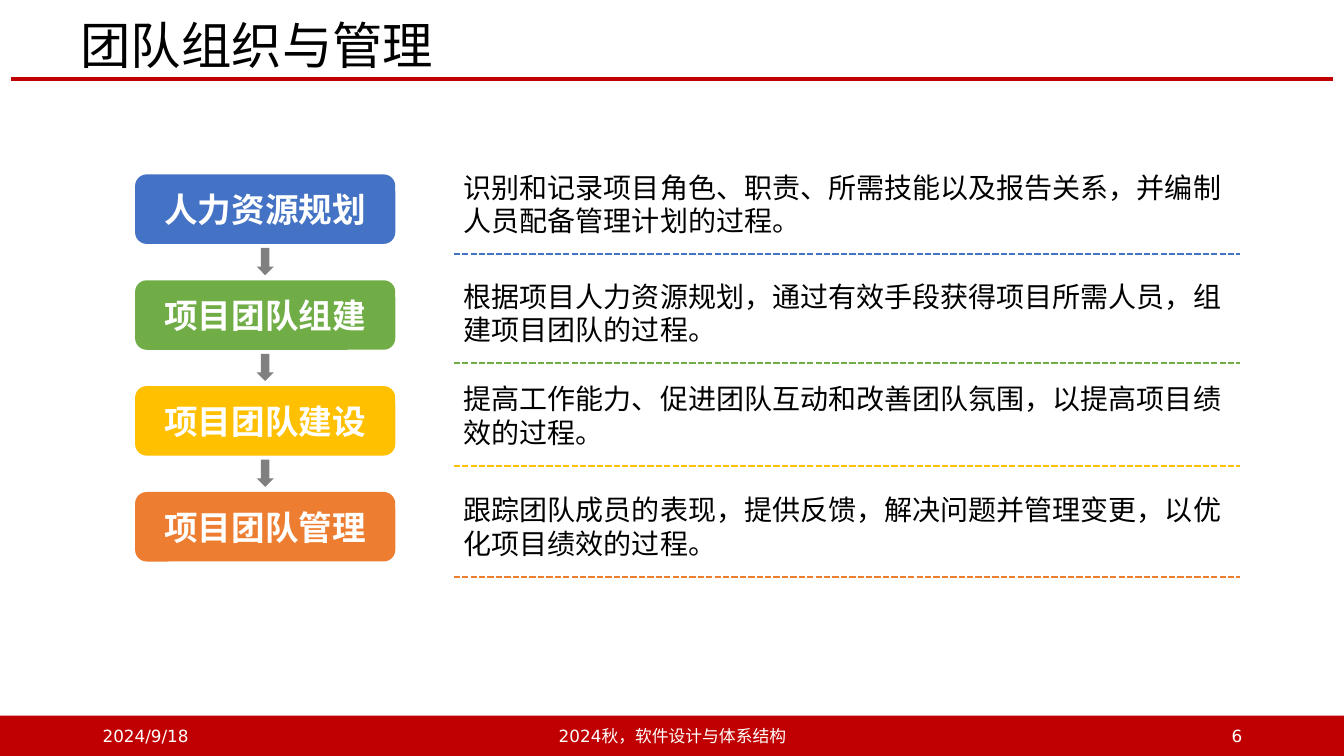
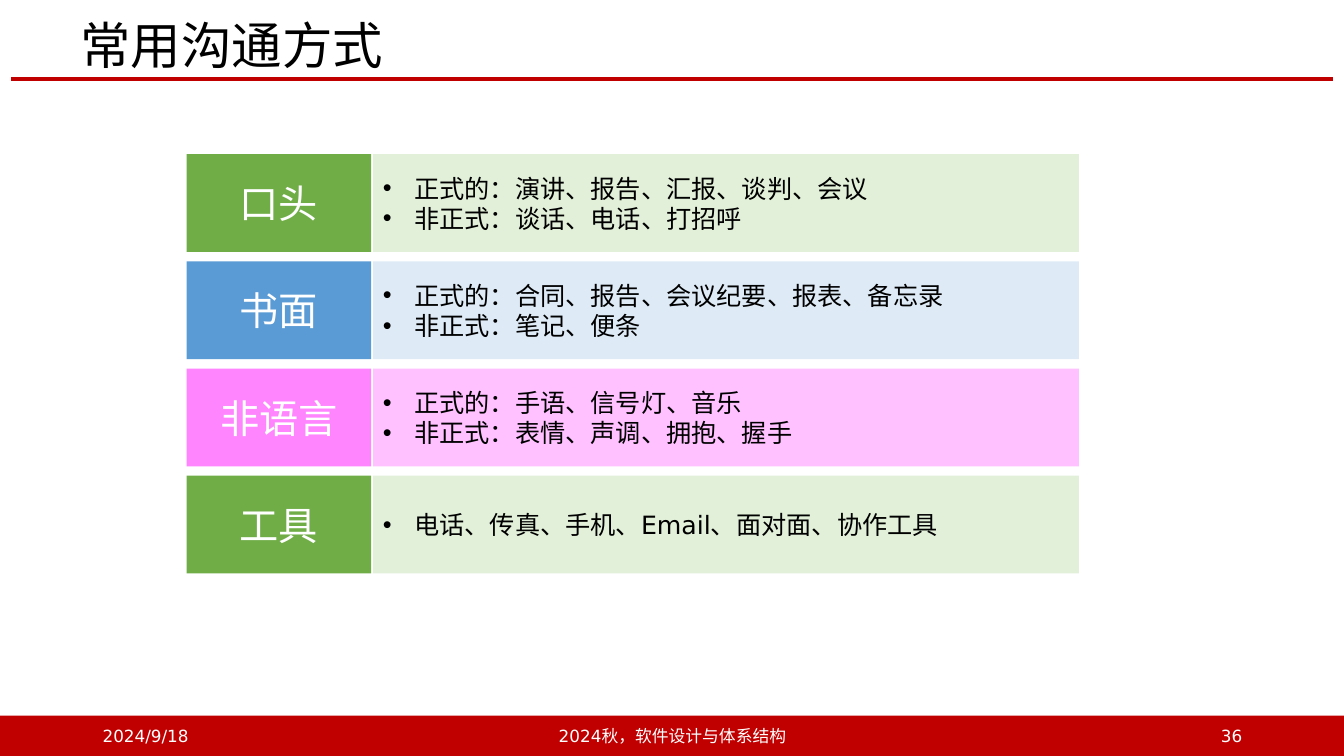
import dataclasses

import lxml.etree
import pptx
import pptx.dml.color
import pptx.enum.dml
import pptx.enum.shapes
import pptx.enum.text
import pptx.oxml.ns
import pptx.util

qn = pptx.oxml.ns.qn
SHAPE = pptx.enum.shapes.MSO_SHAPE
ALIGN = pptx.enum.text.PP_ALIGN
ANCHOR = pptx.enum.text.MSO_ANCHOR


@dataclasses.dataclass(frozen=True)
class Theme:
    red: str = "C00000"
    blue: str = "4472C4"
    green: str = "70AD47"
    gold: str = "FFC000"
    orange: str = "ED7D31"
    sky: str = "5B9BD5"
    pink: str = "FF85FF"
    pale_green: str = "E2F0D9"
    pale_sky: str = "DEEBF7"
    grey: str = "808080"
    black: str = "000000"
    white: str = "FFFFFF"
    title_font: str = "Noto Sans CJK SC"
    font: str = "DejaVu Sans"
    detail_font: str = "Arial"
    title: int = 36
    label: int = 28
    step: int = 24
    detail: int = 20
    bullet: int = 18
    footer: int = 12


T = Theme()


@dataclasses.dataclass(frozen=True)
class Box:
    x: float
    y: float
    w: float
    h: float

    def share(self, x, y, w, h):
        return Box(self.x + self.w * x / 100, self.y + self.h * y / 100,
                   self.w * w / 100, self.h * h / 100)

    def emu(self):
        return [pptx.util.Inches(v) for v in (self.x, self.y, self.w, self.h)]


SLIDE = Box(0, 0, 13.33, 7.5)
HEADER = SLIDE.share(0, 0, 100, 12)
FOOTER = SLIDE.share(0, 94.67, 100, 5.33)
PROCESS = SLIDE.share(10.05, 21.87, 83.05, 54.4)
CHANNELS = SLIDE.share(13.88, 20.4, 66.39, 55.47)

DATE = "2024/9/18"
COURSE = "2024秋，软件设计与体系结构"

STEPS = [
    ("人力资源规划", T.blue, 0,
     "识别和记录项目角色、职责、所需技能以及报告关系，并编制人员配备管理计划的过程。"),
    ("项目团队组建", T.green, 26.47,
     "根据项目人力资源规划，通过有效手段获得项目所需人员，组建项目团队的过程。"),
    ("项目团队建设", T.gold, 51.47,
     "提高工作能力、促进团队互动和改善团队氛围，以提高项目绩效的过程。"),
    ("项目团队管理", T.orange, 78.43,
     "跟踪团队成员的表现，提供反馈，解决问题并管理变更，以优化项目绩效的过程。"),
]

ROWS = [
    ("口头", T.green, T.pale_green, 100,
     ["正式的：演讲、报告、汇报、谈判、会议", "非正式：谈话、电话、打招呼"]),
    ("书面", T.sky, T.pale_sky, 100,
     ["正式的：合同、报告、会议纪要、报表、备忘录", "非正式：笔记、便条"]),
    ("非语言", T.pink, T.pink, 50,
     ["正式的：手语、信号灯、音乐", "非正式：表情、声调、拥抱、握手"]),
    ("工具", T.green, T.pale_green, 100,
     ["电话、传真、手机、Email、面对面、协作工具"]),
]


def rgb(color):
    return pptx.dml.color.RGBColor.from_string(color)


def add_bullet(p):
    pPr = p._p.get_or_add_pPr()
    indent = pptx.util.Inches(0.31)
    pPr.set("marL", str(indent))
    pPr.set("indent", str(-indent))
    lxml.etree.SubElement(pPr, qn("a:buFont")).set("typeface", "Arial")
    lxml.etree.SubElement(pPr, qn("a:buChar")).set("char", "•")


def write(sp, lines, size, color, align=ALIGN.LEFT, font=T.font, bold=False,
          anchor=ANCHOR.MIDDLE, bullets=False):
    tf = sp.text_frame
    tf.text = "\n".join(lines)
    tf.word_wrap = True
    tf.vertical_anchor = anchor
    for p in tf.paragraphs:
        p.alignment = align
        if bullets:
            add_bullet(p)
        for r in p.runs:
            r.font.size = pptx.util.Pt(size)
            r.font.bold = bold
            r.font.name = font
            r.font.color.rgb = rgb(color)
            ea = lxml.etree.SubElement(r._r.get_or_add_rPr(), qn("a:ea"))
            ea.set("typeface", font)
    return tf


def add_text(s, box, text, size, color, **style):
    return write(s.shapes.add_textbox(*box.emu()), [text], size, color, **style)


def add_block(s, kind, box, color, opacity=100):
    sp = s.shapes.add_shape(kind, *box.emu())
    sp.shadow.inherit = False
    sp.fill.solid()
    sp.fill.fore_color.rgb = rgb(color)
    sp.line.fill.background()
    if opacity < 100:
        clr = sp._element.spPr.find(qn("a:solidFill")).find(qn("a:srgbClr"))
        lxml.etree.SubElement(clr, qn("a:alpha")).set("val", str(opacity * 1000))
    return sp


def add_rule(s, box, color, width, dash=None):
    x, y, w, h = box.emu()
    line = s.shapes.add_connector(
        pptx.enum.shapes.MSO_CONNECTOR.STRAIGHT, x, y, x + w, y + h)
    line.line.color.rgb = rgb(color)
    line.line.width = pptx.util.Pt(width)
    if dash:
        line.line.dash_style = dash
    lxml.etree.SubElement(line._element.spPr, qn("a:effectLst"))


def add_header(s, box, title):
    add_rule(s, box.share(0.83, 86.67, 98.34, 0), T.red, 3)
    tf = add_text(s, box.share(5.25, 20, 87.85, 66.67), title, T.title, T.black,
                  font=T.title_font)
    tf.paragraphs[0].line_spacing = 0.9


def add_footer(s, box, number):
    add_block(s, SHAPE.RECTANGLE, box, T.red)
    for x, w, text, align in [(6.9, 22.5, DATE, ALIGN.LEFT),
                              (33.16, 33.76, COURSE, ALIGN.CENTER),
                              (70.67, 22.5, str(number), ALIGN.RIGHT)]:
        add_text(s, box.share(x, 0, w, 100), text, T.footer, T.white, align=align)


def add_process(s, box, steps):
    step_w, step_h, pitch = 23.31, 16.91, 25.74
    arrow_w, arrow_h = 1.54, 6.62
    detail_x = 28.55
    for i, (name, color, detail_y, detail) in enumerate(steps):
        y = 2.21 + i * pitch
        sp = add_block(s, SHAPE.ROUNDED_RECTANGLE, box.share(0, y, step_w, step_h), color)
        write(sp, [name], T.step, T.white, align=ALIGN.CENTER, bold=True)
        if i < len(steps) - 1:
            arrow = box.share((step_w - arrow_w) / 2, y + step_h + 0.98, arrow_w, arrow_h)
            add_block(s, SHAPE.DOWN_ARROW, arrow, T.grey)
        tf = add_text(s, box.share(detail_x, detail_y, 100 - detail_x, 18.87), detail,
                      T.detail, T.black, font=T.detail_font, anchor=ANCHOR.TOP)
        tf.auto_size = pptx.enum.text.MSO_AUTO_SIZE.SHAPE_TO_FIT_TEXT
        add_rule(s, box.share(detail_x, detail_y + 21.57, 70.46, 0), color, 1.5,
                 pptx.enum.dml.MSO_LINE.SQUARE_DOT)


def add_channels(s, box, rows):
    row_h, label_w, detail_x = 23.32, 20.68, 20.9
    pitch = (100 - row_h) / (len(rows) - 1)
    for i, (name, color, tint, opacity, lines) in enumerate(rows):
        y = i * pitch
        label = add_block(s, SHAPE.RECTANGLE, box.share(0, y, label_w, row_h), color)
        write(label, [name], T.label, T.white, align=ALIGN.CENTER)
        detail = add_block(s, SHAPE.RECTANGLE,
                           box.share(detail_x, y, 100 - detail_x, row_h), tint, opacity)
        write(detail, lines, T.bullet, T.black, bullets=True)


def add_slide(prs, title, number, body, box, items):
    s = prs.slides.add_slide(prs.slide_layouts[6])
    add_header(s, HEADER, title)
    add_footer(s, FOOTER, number)
    body(s, box, items)


def main():
    prs = pptx.Presentation()
    prs.slide_width = pptx.util.Inches(SLIDE.w)
    prs.slide_height = pptx.util.Inches(SLIDE.h)
    add_slide(prs, "团队组织与管理", 6, add_process, PROCESS, STEPS)
    add_slide(prs, "常用沟通方式", 36, add_channels, CHANNELS, ROWS)
    prs.save("out.pptx")


if __name__ == "__main__":
    main()
